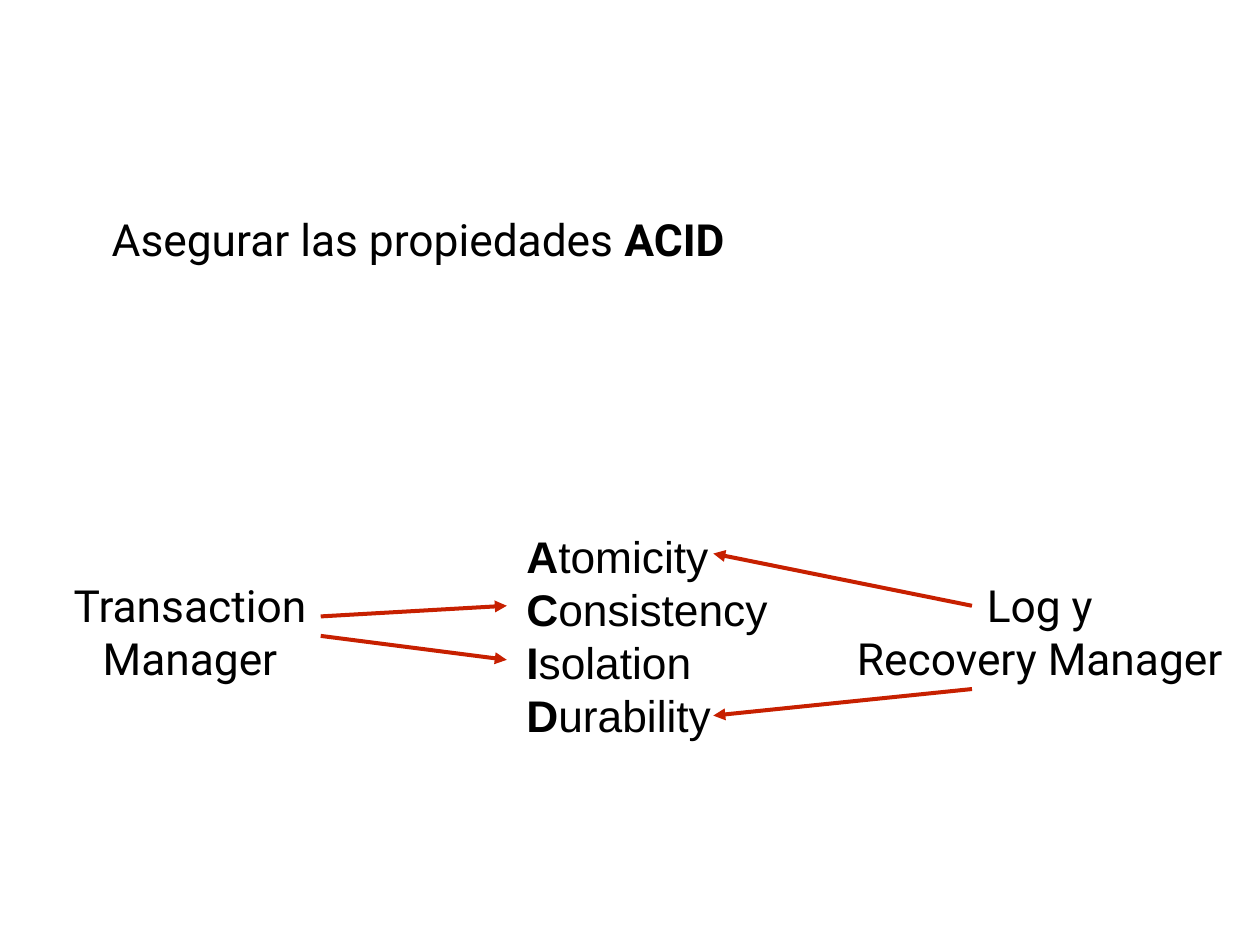
import pptx
import pptx.util
import pptx.dml.color
import pptx.enum.shapes
import pptx.enum.text
import pptx.oxml.ns
import lxml.etree

SCALE = 9144
ALIGN = pptx.enum.text.PP_ALIGN


def px(count):
    return pptx.util.Emu(count * SCALE)


def color(code):
    return pptx.dml.color.RGBColor.from_string(code)


def child(parent, tag, **attrs):
    return lxml.etree.SubElement(parent, pptx.oxml.ns.qn(tag), **attrs)


def place(shape, box):
    shape.left, shape.top, shape.width, shape.height = map(px, box)


def write(shape, lines, face, align):
    frame = shape.text_frame
    frame.word_wrap = True
    frame.auto_size = pptx.enum.text.MSO_AUTO_SIZE.NONE
    frame.vertical_anchor = pptx.enum.text.MSO_ANCHOR.MIDDLE
    frame.margin_left = frame.margin_right = px(6)
    frame.margin_top = frame.margin_bottom = px(6)
    for index, parts in enumerate(lines):
        para = frame.add_paragraph() if index else frame.paragraphs[0]
        para.alignment = align
        para.space_before = pptx.util.Pt(0)
        if shape.is_placeholder:
            props = para._p.get_or_add_pPr()
            props.set("marL", "0")
            props.set("indent", "0")
            child(props, "a:buNone")
        para.font.name = face
        para.font.size = pptx.util.Pt(36)
        para.font.color.rgb = color("000000")
        for text, bold in parts:
            run = para.add_run()
            run.text = text
            if bold:
                run.font.bold = True


def title(slide, box):
    shape = slide.shapes.title
    place(shape, box)
    line = [("Asegurar las propiedades ", False), ("ACID", True)]
    write(shape, [line], "Roboto", ALIGN.LEFT)


def acid(slide, box):
    shape = slide.placeholders[1]
    place(shape, box)
    words = ["Atomicity", "Consistency", "Isolation", "Durability"]
    lines = [[(word[0], True), (word[1:], False)] for word in words]
    write(shape, lines, "Arial", ALIGN.LEFT)


def arrow(slide, start, end):
    kind = pptx.enum.shapes.MSO_CONNECTOR.STRAIGHT
    line = slide.shapes.add_connector(kind, *map(px, start + end))
    line.line.color.rgb = color("C72000")
    line.line.width = pptx.util.Pt(3.25)
    child(line.line._get_or_add_ln(), "a:tailEnd", type="triangle")
    child(line._element.spPr, "a:effectLst")


def manager(slide, box, names, arrows):
    shape = slide.shapes.add_textbox(*map(px, box))
    write(shape, [[(name, False)] for name in names], "Roboto", ALIGN.CENTER)
    left, top = box[:2]
    for x1, y1, x2, y2 in arrows:
        arrow(slide, (left + x1, top + y1), (left + x2, top + y2))


def main():
    deck = pptx.Presentation()
    deck.slide_width, deck.slide_height = px(1422), px(1067)
    slide = deck.slides.add_slide(deck.slide_layouts[1])
    title(slide, (120, 234, 1226, 72))
    acid(slide, (588, 590, 344, 254))
    manager(slide, (22, 647, 385, 132), ["Transaction", "Manager"],
            [(340, 49, 550, 37), (340, 71, 550, 98)])
    manager(slide, (947, 647, 453, 132), ["Log y", "Recovery Manager"],
            [(150, 37, -142, -22), (150, 131, -142, 161)])
    deck.save("out.pptx")


if __name__ == "__main__":
    main()
